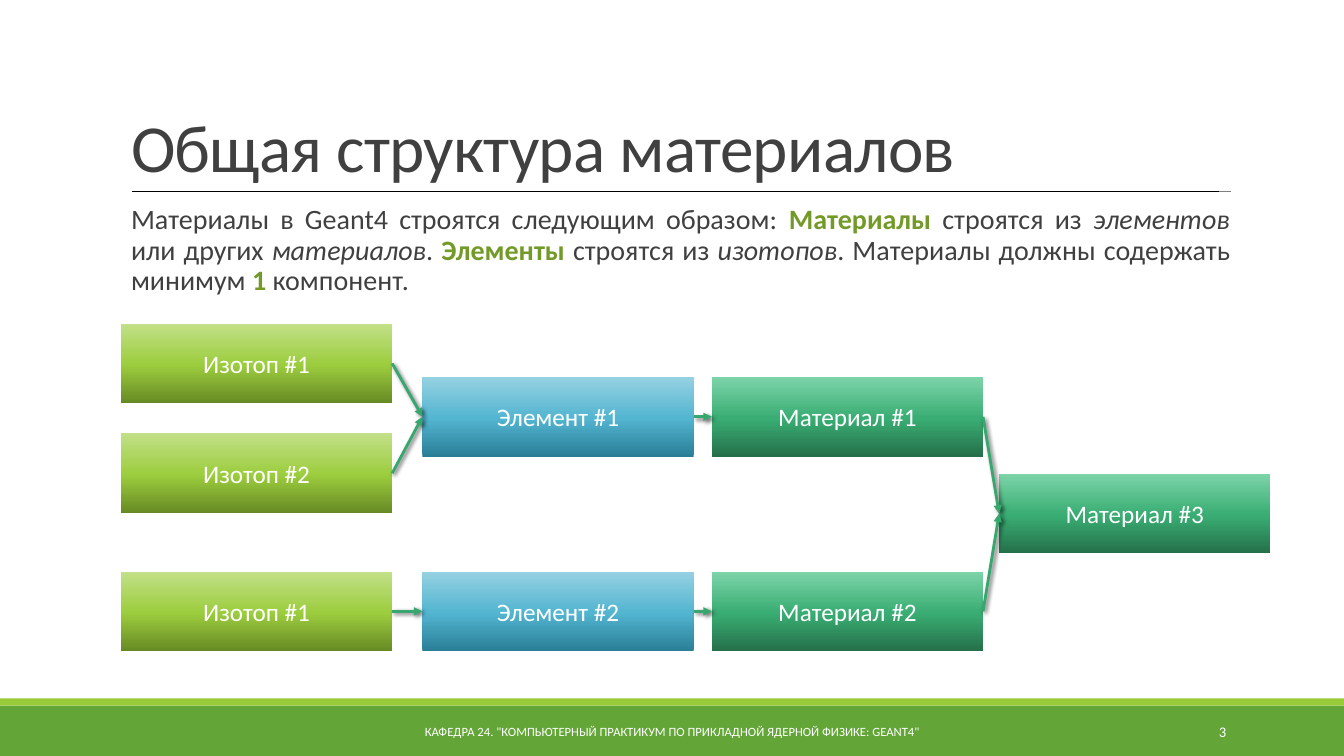
from lxml import etree
from pptx import Presentation
from pptx.dml.color import RGBColor
from pptx.enum.shapes import MSO_CONNECTOR as CONN, MSO_SHAPE as SHAPE
from pptx.enum.text import MSO_ANCHOR as ANCHOR, PP_ALIGN as ALIGN
from pptx.oxml import parse_xml
from pptx.oxml.ns import nsdecls, qn
from pptx.util import Inches, Pt

# Content
TITLE = "Общая структура материалов"
BODY = [  # text, style
    ("Материалы в Geant4 строятся следующим образом: ", ""),
    ("Материалы", "key"),
    (" строятся из ", ""),
    ("элементов", "italic"),
    (" или других ", ""),
    ("материалов", "italic"),
    (". ", ""),
    ("Элементы", "key"),
    (" строятся из ", ""),
    ("изотопов", "italic"),
    (". Материалы должны содержать минимум ", ""),
    ("1 ", "key"),
    ("компонент.", ""),
]
BLOCKS = {  # key: text, kind, column, top
    "iso1": ("Изотоп #1", "isotope", 0, 3.21),
    "iso2": ("Изотоп #2", "isotope", 0, 4.3),
    "iso3": ("Изотоп #1", "isotope", 0, 5.67),
    "el1": ("Элемент #1", "element", 1, 3.74),
    "el2": ("Элемент #2", "element", 1, 5.67),
    "mat1": ("Материал #1", "material", 2, 3.74),
    "mat2": ("Материал #2", "material", 2, 5.67),
    "mat3": ("Материал #3", "material", 3, 4.7),
}
ARROWS = [("iso1", "el1"), ("iso2", "el1"), ("iso3", "el2"), ("el1", "mat1"),
          ("el2", "mat2"), ("mat1", "mat3"), ("mat2", "mat3")]
FOOTER = 'КАФЕДРА 24. "КОМПЬЮТЕРНЫЙ ПРАКТИКУМ ПО ПРИКЛАДНОЙ ЯДЕРНОЙ ФИЗИКЕ: GEANT4"'
NUMBER = "3"

# Look
FONT = "Calibri"
COLORS = {"text": "404040", "key": "739A28", "white": "FFFFFF", "band": "63A537",
          "strip": "99CB38", "gray": "808080", "black": "000000", "arrow": "37A76F"}
GRADIENTS = {  # bottom, middle, top
    "isotope": ("678A24", "9CCD3E", "C2E088"),
    "element": ("297E96", "53B5D0", "95D1E2"),
    "material": ("25704A", "39AD73", "7DD4A9"),
}
STOPS = (0, 48, 100)

# Grid
W, H = 13.33, 7.5
LEFT, TEXT_W = 1.2, 11
COLUMNS = (LEFT, 4.19, 7.06, 9.91)
BLOCK_W, BLOCK_H = 2.69, 0.79
BAND_TOP, STRIP_H = 7, 0.07


def rgb(name):
    return RGBColor.from_string(COLORS[name])


def add_run(p, text, size, color):
    r = p.add_run()
    r.text = text
    r.font.name, r.font.size = FONT, Pt(size)
    r.font.color.rgb = rgb(color)
    return r


def add_rect(s, x, y, w, h):
    sp = s.shapes.add_shape(SHAPE.RECTANGLE, Inches(x), Inches(y), Inches(w), Inches(h))
    sp.shadow.inherit = False
    sp.line.fill.background()
    return sp


def add_bar(s, y, h, color):
    sp = add_rect(s, 0, y, W, h)
    sp.fill.solid()
    sp.fill.fore_color.rgb = rgb(color)


def add_text(s, x, y, w, h, anchor, align):
    tf = s.shapes.add_textbox(Inches(x), Inches(y), Inches(w), Inches(h)).text_frame
    tf.word_wrap, tf.vertical_anchor = True, anchor
    tf.paragraphs[0].alignment = align
    return tf


def add_line(s, x1, y1, x2, y2, color, width):
    c = s.shapes.add_connector(CONN.STRAIGHT, Inches(x1), Inches(y1), Inches(x2), Inches(y2))
    c.line.color.rgb, c.line.width = rgb(color), Pt(width)
    etree.SubElement(c._element.spPr, qn("a:effectLst"))
    return c


def add_block(s, text, kind, column, top):
    sp = add_rect(s, COLUMNS[column], top, BLOCK_W, BLOCK_H)
    stops = "".join(f'<a:gs pos="{pos * 1000}"><a:srgbClr val="{color}"/></a:gs>'
                    for pos, color in zip(STOPS, GRADIENTS[kind]))
    sp._element.spPr.find(qn("a:prstGeom")).addnext(parse_xml(
        f'<a:gradFill {nsdecls("a")} rotWithShape="1"><a:gsLst>{stops}</a:gsLst>'
        '<a:lin ang="16200000" scaled="0"/></a:gradFill>'))
    tf = sp.text_frame
    tf.vertical_anchor = ANCHOR.MIDDLE
    tf.paragraphs[0].alignment = ALIGN.CENTER
    add_run(tf.paragraphs[0], text, 18, "white")
    return sp


def add_arrow(s, start, end):
    c = add_line(s, 0, 0, 1, 1, "arrow", 2)
    c.begin_connect(start, 3)  # right side
    c.end_connect(end, 1)      # left side
    etree.SubElement(c.line._get_or_add_ln(), qn("a:tailEnd"), type="triangle")
    c._element.spPr.find(qn("a:effectLst")).append(parse_xml(
        f'<a:outerShdw {nsdecls("a")} blurRad="{Pt(3)}" dist="{Pt(2)}" dir="2700000" '
        'rotWithShape="0"><a:srgbClr val="000000"><a:alpha val="60000"/></a:srgbClr>'
        '</a:outerShdw>'))


def main():
    prs = Presentation()
    prs.slide_width, prs.slide_height = Inches(W), Inches(H)
    s = prs.slides.add_slide(prs.slide_layouts[5])

    # Footer bands and title rule
    add_bar(s, BAND_TOP, H - BAND_TOP, "band")
    add_bar(s, BAND_TOP - STRIP_H, STRIP_H, "strip")
    add_line(s, 1.31, 1.9, 12.21, 1.9, "gray", 0.5)
    add_line(s, 1.31, 1.9, 12.09, 1.9, "black", 1)

    # Title
    title = s.shapes.title
    title.left, title.top = Inches(LEFT), Inches(0.31)
    title.width, title.height = Inches(TEXT_W), Inches(1.59)
    title.text_frame.vertical_anchor = ANCHOR.BOTTOM
    p = title.text_frame.paragraphs[0]
    p.alignment, p.line_spacing = ALIGN.LEFT, 0.85
    r = add_run(p, TITLE, 48, "text")
    r.font._element.set("spc", "-50")

    # Body text
    tf = add_text(s, LEFT, 1.99, TEXT_W, 1.05, ANCHOR.TOP, ALIGN.JUSTIFY)
    tf.margin_left = tf.margin_right = 0
    p = tf.paragraphs[0]
    p.line_spacing, p.space_before, p.space_after = 0.9, Pt(12), Pt(2)
    p._p.get_or_add_pPr().set("marL", str(Inches(0.1)))
    for text, style in BODY:
        r = add_run(p, text, 20, "key" if style == "key" else "text")
        r.font.bold, r.font.italic = style == "key", style == "italic"

    # Diagram
    blocks = {key: add_block(s, *block) for key, block in BLOCKS.items()}
    for start, end in ARROWS:
        add_arrow(s, blocks[start], blocks[end])

    # Footer text and slide number
    for text, x, w, size, align in ((FOOTER, 4.03, 5.27, 9, ALIGN.CENTER),
                                    (NUMBER, 10.83, 1.43, 10.5, ALIGN.RIGHT)):
        tf = add_text(s, x, 7.06, w, 0.4, ANCHOR.MIDDLE, align)
        add_run(tf.paragraphs[0], text, size, "white")

    prs.save("out.pptx")


if __name__ == "__main__":
    main()
